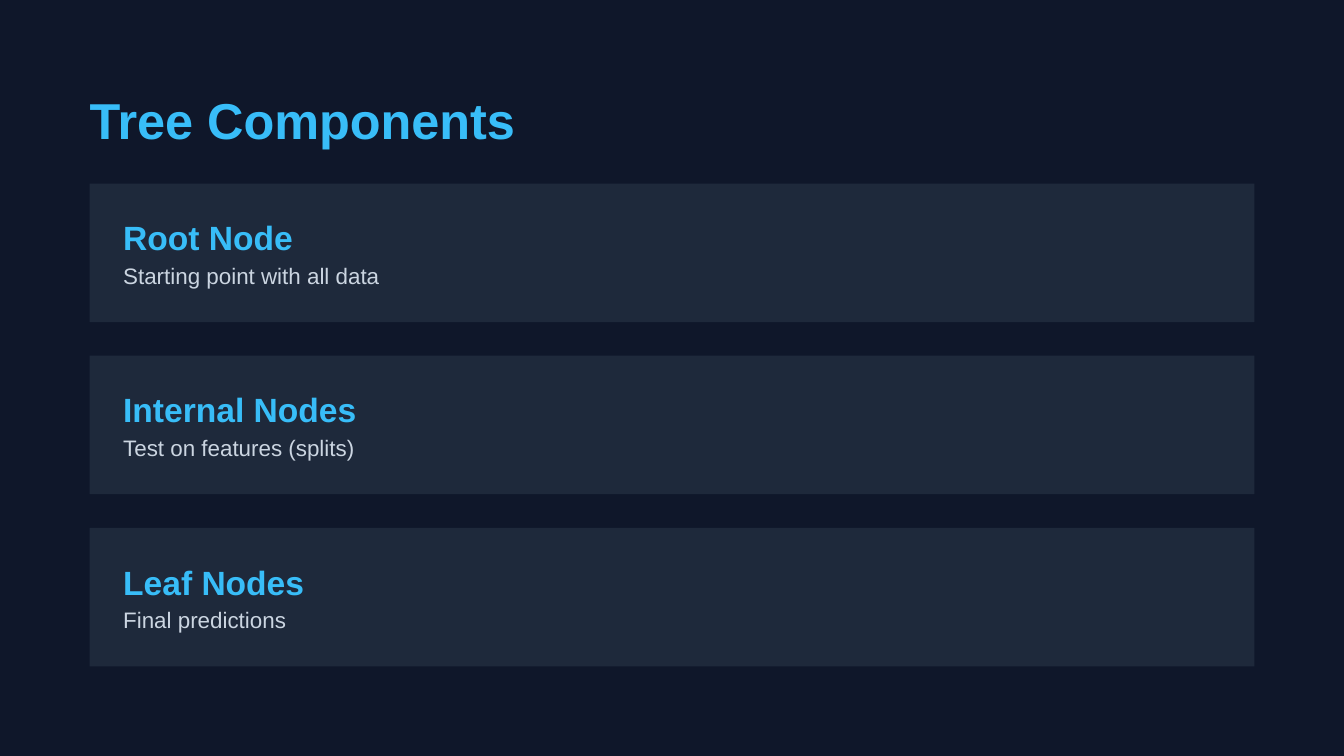
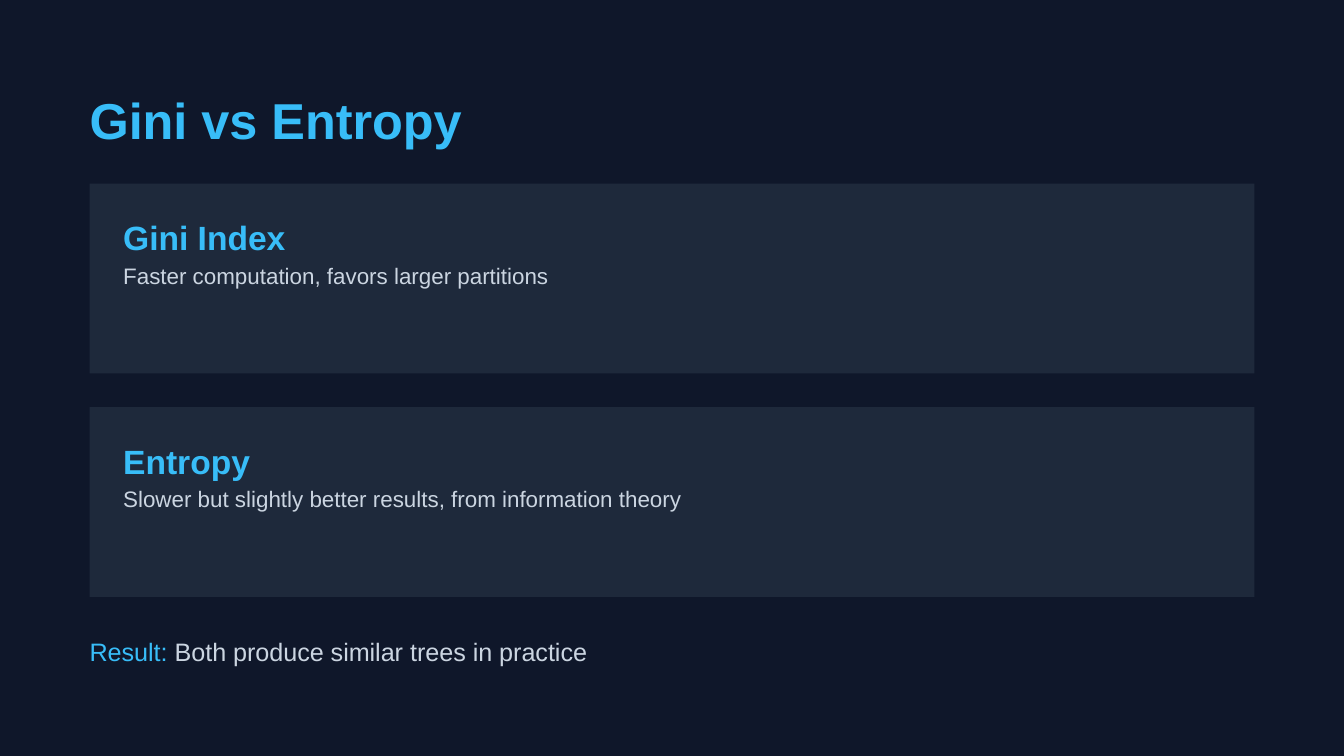
import pptx
import pptx.dml.color
import pptx.enum.shapes
import pptx.enum.text
import pptx.util

# Palette and type
NIGHT = pptx.dml.color.RGBColor(0x0F, 0x17, 0x2A)
SLATE = pptx.dml.color.RGBColor(0x1E, 0x29, 0x3B)
SKY = pptx.dml.color.RGBColor(0x38, 0xBD, 0xF8)
MIST = pptx.dml.color.RGBColor(0xCB, 0xD5, 0xE1)
FONT = "Arial"

# Grid of square cells, 6 points wide: 120 columns by 67.5 rows
CELL = 6
COLUMNS, ROWS = 120, 67.5
MARGIN, PADDING, GAP = 8, 3, 3
CARDS_TOP = 16.4
CARD_WIDTH = COLUMNS - 2 * MARGIN
TEXT_WIDTH = 106
CARD_TEXT_WIDTH = 100


def cells(count):
    return pptx.util.Pt(count * CELL)


class Deck:
    """Holds the shared style and the current page."""

    def __init__(self):
        self.deck = pptx.Presentation()
        self.deck.slide_width = cells(COLUMNS)
        self.deck.slide_height = cells(ROWS)
        self.page = None

    def new_page(self, title):
        self.page = self.deck.slides.add_slide(self.deck.slide_layouts[6])
        background = self.page.background.fill
        background.solid()
        background.fore_color.rgb = NIGHT
        self.text(MARGIN, MARGIN, TEXT_WIDTH, [(title, SKY)], 27, 1.2, bold=True)

    def text(self, left, top, width, spans, size, leading, bold=False):
        """Place one line of text and return the row below it."""
        height = size * leading / CELL
        box = self.page.shapes.add_textbox(
            cells(left), cells(top), cells(width), cells(height))
        frame = box.text_frame
        frame.word_wrap = True
        frame.vertical_anchor = pptx.enum.text.MSO_ANCHOR.TOP
        frame.margin_left = frame.margin_right = 0
        frame.margin_top = frame.margin_bottom = 0
        para = frame.paragraphs[0]
        para.line_spacing = pptx.util.Pt(size * leading)
        for words, color in spans:
            span = para.add_run()
            span.text = words
            span.font.name = FONT
            span.font.size = pptx.util.Pt(size)
            span.font.bold = bold
            span.font.color.rgb = color
        return top + height

    def card(self, top, height, heading, detail):
        panel = self.page.shapes.add_shape(
            pptx.enum.shapes.MSO_SHAPE.RECTANGLE,
            cells(MARGIN), cells(top), cells(CARD_WIDTH), cells(height))
        panel.shadow.inherit = False
        panel.fill.solid()
        panel.fill.fore_color.rgb = SLATE
        panel.line.fill.background()
        left = MARGIN + PADDING
        below = self.text(left, top + PADDING, CARD_TEXT_WIDTH,
                          [(heading, SKY)], 18, 1.2, bold=True)
        self.text(left, below, CARD_TEXT_WIDTH, [(detail, MIST)], 12, 1.4)

    def cards(self, bottom, entries):
        """Share the rows down to bottom equally among the cards."""
        pitch = (bottom - CARDS_TOP + GAP) / len(entries)
        for index, (heading, detail) in enumerate(entries):
            self.card(CARDS_TOP + index * pitch, pitch - GAP, heading, detail)

    def closing_line(self, top, label, statement):
        self.text(MARGIN, top, TEXT_WIDTH,
                  [(label, SKY), (" " + statement, MIST)], 13.5, 1.4)

    def save(self):
        self.deck.save("out.pptx")


def main():
    deck = Deck()

    # Tree components
    deck.new_page("Tree Components")
    deck.cards(59.5, [
        ("Root Node", "Starting point with all data"),
        ("Internal Nodes", "Test on features (splits)"),
        ("Leaf Nodes", "Final predictions"),
    ])

    # Split criteria and the verdict
    deck.new_page("Gini vs Entropy")
    deck.cards(53.3, [
        ("Gini Index", "Faster computation, favors larger partitions"),
        ("Entropy", "Slower but slightly better results, from information theory"),
    ])
    deck.closing_line(56.4, "Result:", "Both produce similar trees in practice")

    deck.save()


if __name__ == "__main__":
    main()
